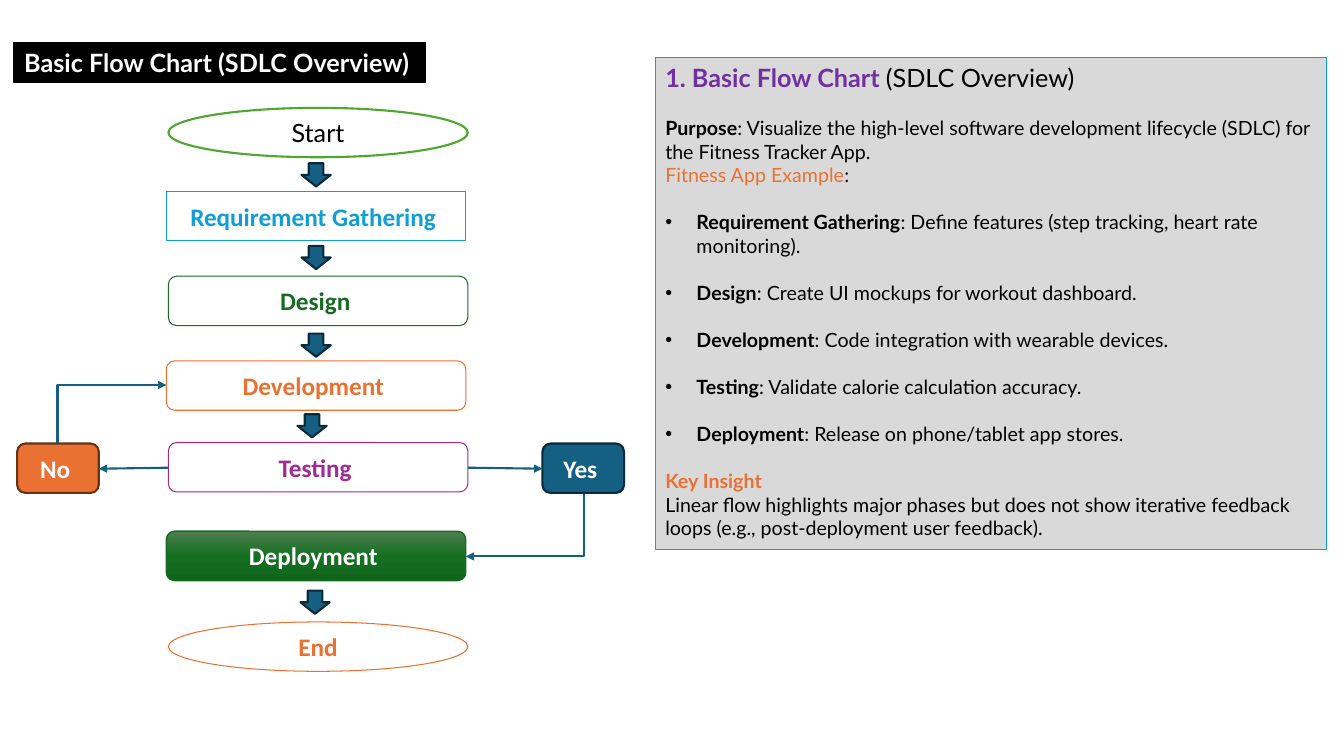
from copy import deepcopy

from lxml import etree
from pptx import Presentation
from pptx import util as u
from pptx.dml.color import RGBColor
from pptx.enum import shapes, text
from pptx.oxml.ns import qn

BLACK = RGBColor(0x00, 0x00, 0x00)
WHITE = RGBColor(0xFF, 0xFF, 0xFF)
GREY = RGBColor(0xD9, 0xD9, 0xD9)
TEAL = RGBColor(0x15, 0x60, 0x82)
NAVY = RGBColor(0x09, 0x2A, 0x39)
SKY = RGBColor(0x0F, 0x9E, 0xD5)
LIME = RGBColor(0x4E, 0xA7, 0x2E)
GREEN = RGBColor(0x19, 0x6B, 0x24)
ORANGE = RGBColor(0xE9, 0x71, 0x32)
BROWN = RGBColor(0x66, 0x32, 0x16)
MAGENTA = RGBColor(0xA0, 0x2B, 0x93)
PURPLE = RGBColor(0x70, 0x30, 0xA0)
DEPLOY_STOPS = [(0, RGBColor(0x4D, 0x7E, 0x50)), (0.5, RGBColor(0x15, 0x6F, 0x21)),
                (1, RGBColor(0x0F, 0x66, 0x1B))]

OVAL = shapes.MSO_SHAPE.OVAL
RECT = shapes.MSO_SHAPE.RECTANGLE
ROUND = shapes.MSO_SHAPE.ROUNDED_RECTANGLE
DOWN = shapes.MSO_SHAPE.DOWN_ARROW

STEP_WIDTH, ANSWER_WIDTH, BOX_HEIGHT = 2.97, 0.81, 0.49
STEPS = [
    (OVAL, 1.67, 1.07, "Start", BLACK, WHITE, LIME, 1.5),
    (RECT, 1.65, 1.9, "Requirement Gathering ", SKY, None, SKY, 0.75),
    (ROUND, 1.67, 2.74, "Design ", GREEN, None, GREEN, 0.75),
    (ROUND, 1.65, 3.58, "Development ", ORANGE, None, ORANGE, 0.75),
    (ROUND, 1.67, 4.39, "Testing ", MAGENTA, None, MAGENTA, 0.75),
    (ROUND, 1.65, 5.27, "Deployment ", WHITE, DEPLOY_STOPS, GREEN, 1),
    (OVAL, 1.67, 6.17, "End", ORANGE, None, ORANGE, 0.75),
]
ANSWERS = [(0.17, "No ", ORANGE, BROWN), (5.38, "Yes ", TEAL, NAVY)]
DOWN_ARROWS = [(2.99, 1.62), (2.99, 2.44), (2.99, 3.31), (2.95, 4.11), (2.98, 5.86)]
PHASES = [
    ("Requirement Gathering", "Define features (step tracking, heart rate monitoring)."),
    ("Design", "Create UI mockups for workout dashboard."),
    ("Development", "Code integration with wearable devices."),
    ("Testing", "Validate calorie calculation accuracy."),
    ("Deployment", "Release on phone/tablet app stores."),
]
BLANK_LINE = 16.8


class FlowSlide:
    """Draws styled elements on one slide."""

    def __init__(self, page):
        self.page = page

    def paint(self, box, fill, line, weight):
        if fill is None:
            box.fill.background()
        elif isinstance(fill, list):
            self.gradient(box, fill)
        else:
            box.fill.solid()
            box.fill.fore_color.rgb = fill
        box.line.color.rgb = line
        box.line.width = u.Pt(weight)

    def gradient(self, box, colours):
        box.fill.gradient()
        box.fill.gradient_angle = 270
        stops = box._element.spPr.find(qn("a:gradFill")).find(qn("a:gsLst"))
        stops.insert(1, deepcopy(stops[0]))
        for stop, (position, colour) in zip(box.fill.gradient_stops, colours):
            stop.position = position
            stop.color.rgb = colour

    def style(self, para, size, font, colour, bold):
        para.font.size = u.Pt(size)
        para.font.name = font
        para.font.color.rgb = colour
        para.font.bold = bold

    def title(self, wording, left, top, width, height):
        box = self.page.shapes.title
        box.left, box.top, box.width, box.height = map(u.Inches, (left, top, width, height))
        self.paint(box, BLACK, BLACK, 1)
        frame = box.text_frame
        frame.text = wording
        frame.word_wrap = False
        frame.auto_size = text.MSO_AUTO_SIZE.NONE
        frame.vertical_anchor = text.MSO_ANCHOR.TOP
        para = frame.paragraphs[0]
        para.alignment = text.PP_ALIGN.LEFT
        para.line_spacing = 1.0
        para.space_before = u.Pt(0)
        self.style(para, 18, "Lato", WHITE, True)

    def shape(self, kind, left, top, width, height, fill, line, weight):
        box = self.page.shapes.add_shape(kind, *map(u.Inches, (left, top, width, height)))
        box.shadow.inherit = False
        self.paint(box, fill, line, weight)
        return box

    def node(self, kind, left, top, width, wording, colour, fill, line, weight):
        box = self.shape(kind, left, top, width, BOX_HEIGHT, fill, line, weight)
        box.text_frame.text = wording
        box.text_frame.vertical_anchor = text.MSO_ANCHOR.MIDDLE
        para = box.text_frame.paragraphs[0]
        para.alignment = text.PP_ALIGN.CENTER
        start = wording == "Start"
        self.style(para, 18, "Lato" if start else "Calibri", colour, not start)

    def arrow(self, start, end, kind=shapes.MSO_CONNECTOR.STRAIGHT):
        link = self.page.shapes.add_connector(kind, *map(u.Inches, (*start, *end)))
        link.line.color.rgb = TEAL
        link.line.width = u.Pt(1.5)
        properties = link._element.spPr
        etree.SubElement(properties.find(qn("a:ln")), qn("a:tailEnd"), type="triangle")
        etree.SubElement(properties, qn("a:effectLst"))
        return link

    def elbow(self, start, end):
        middle_x, middle_y = (start[0] + end[0]) / 2, (start[1] + end[1]) / 2
        half_x, half_y = (end[0] - start[0]) / 2, (end[1] - start[1]) / 2
        link = self.arrow((middle_x - half_y, middle_y + half_x),
                          (middle_x + half_y, middle_y - half_x),
                          shapes.MSO_CONNECTOR.ELBOW)
        properties = link._element.spPr
        properties.find(qn("a:xfrm")).set("rot", "5400000")
        properties.find(qn("a:prstGeom")).set("prst", "bentConnector2")

    def panel(self, left, top, width, height):
        box = self.shape(RECT, left, top, width, height, GREY, SKY, 1)
        frame = box.text_frame
        frame.word_wrap = True
        frame.auto_size = text.MSO_AUTO_SIZE.SHAPE_TO_FIT_TEXT
        frame.vertical_anchor = text.MSO_ANCHOR.TOP
        return frame

    def paragraph(self, frame, spans, size=14, before=0, bullet=False):
        para = frame.paragraphs[0] if not frame.text else frame.add_paragraph()
        para.alignment = text.PP_ALIGN.LEFT
        para.space_before = u.Pt(before)
        para.font.size = u.Pt(size)
        para.font.name = "Lato"
        if bullet:
            properties = para._p.get_or_add_pPr()
            properties.set("marL", str(u.Inches(0.31)))
            properties.set("indent", str(u.Inches(-0.31)))
            font = etree.Element(qn("a:buFont"), typeface="Arial")
            mark = etree.Element(qn("a:buChar"), char="•")
            properties.find(qn("a:defRPr")).addprevious(font)
            font.addnext(mark)
        for wording, colour, bold in spans:
            span = para.add_run()
            span.text = wording
            span.font.color.rgb = colour
            span.font.bold = bold


def main():
    deck = Presentation()
    deck.slide_width, deck.slide_height = u.Inches(13.33), u.Inches(7.5)
    flow = FlowSlide(deck.slides.add_slide(deck.slide_layouts[5]))
    flow.title("Basic Flow Chart (SDLC Overview)", 0.14, 0.42, 4.08, 0.4)

    for kind, left, top, *look in STEPS:
        flow.node(kind, left, top, STEP_WIDTH, *look)
    for left, wording, fill, line in ANSWERS:
        flow.node(ROUND, left, 4.4, ANSWER_WIDTH, wording, WHITE, fill, line, 1.5)
    for left, top in DOWN_ARROWS:
        flow.shape(DOWN, left, top, 0.29, 0.23, TEAL, NAVY, 1.5)

    flow.arrow((4.64, 4.64), (5.38, 4.65))
    flow.arrow((1.67, 4.64), (0.98, 4.65))
    flow.elbow((5.79, 4.9), (4.62, 5.52))
    flow.elbow((0.57, 4.4), (1.65, 3.82))

    frame = flow.panel(6.5, 0.57, 6.66, 4.88)
    flow.paragraph(frame, [("1. Basic Flow Chart ", PURPLE, True),
                           ("(SDLC Overview)", BLACK, False)], size=18)
    flow.paragraph(frame, [("Purpose", BLACK, True),
                           (": Visualize the high-level software development lifecycle (SDLC) "
                            "for the Fitness Tracker App.", BLACK, False)], before=BLANK_LINE)
    flow.paragraph(frame, [("Fitness App Example", ORANGE, False), (":", BLACK, False)])
    for phase, detail in PHASES:
        flow.paragraph(frame, [(phase, BLACK, True), (f": {detail}", BLACK, False)],
                       before=BLANK_LINE, bullet=True)
    flow.paragraph(frame, [("Key Insight", ORANGE, True)], before=BLANK_LINE)
    flow.paragraph(frame, [("Linear flow highlights major phases but does not show iterative "
                            "feedback loops (e.g., post-deployment user feedback).", BLACK, False)])
    deck.save("out.pptx")


if __name__ == "__main__":
    main()
